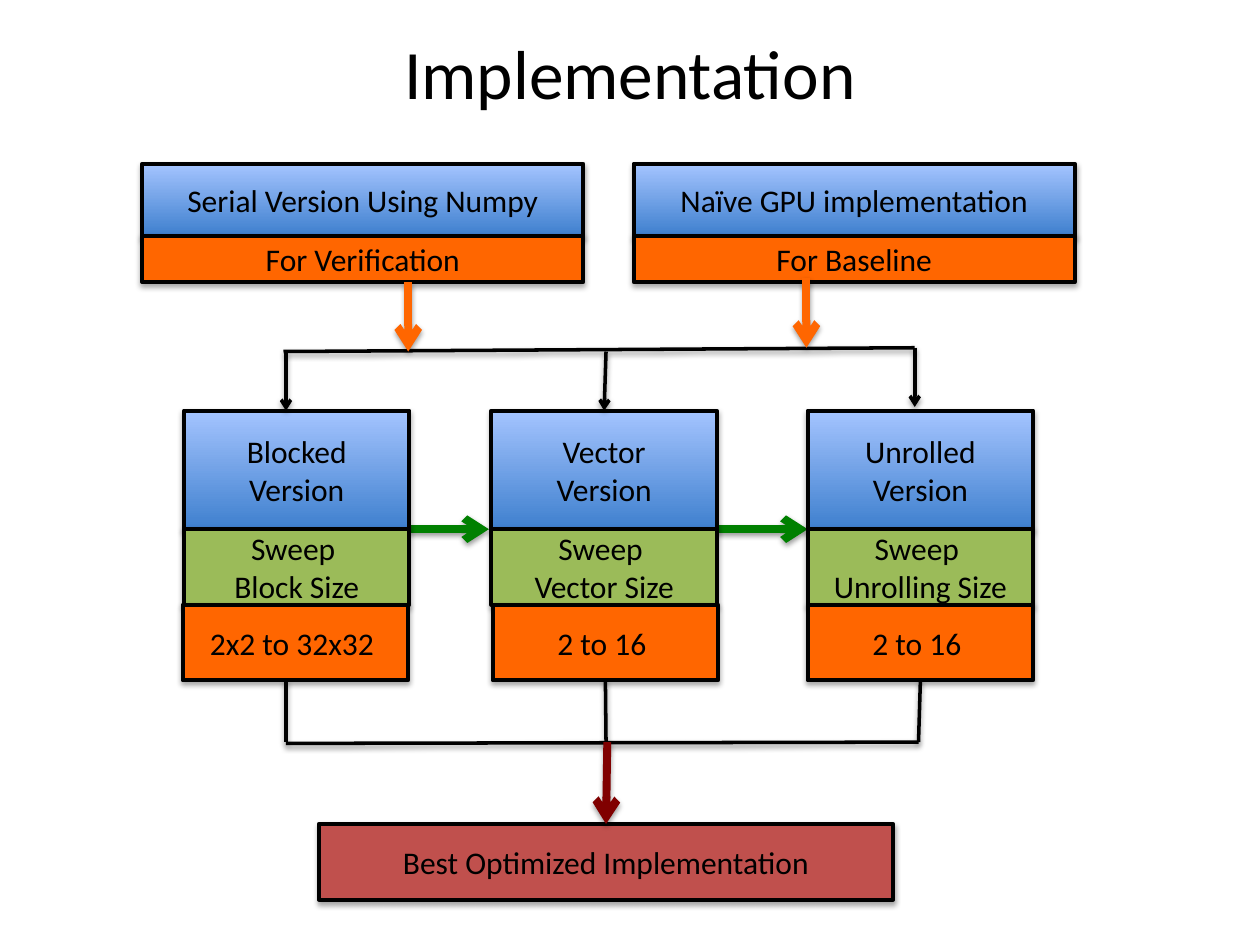
import pptx
import pptx.util
import pptx.dml.color
import pptx.enum.shapes
import pptx.enum.text
import pptx.oxml
import pptx.oxml.ns
from dataclasses import dataclass

Inches, Pt = pptx.util.Inches, pptx.util.Pt
TOP, BOTTOM = 0, 2


@dataclass(frozen=True)
class Theme:
    font: str = "Calibri"
    title_size: float = 39.6
    body_size: float = 18
    ink: str = "000000"
    blue: tuple = ("3F80CE", "A4C4FF")  # bottom, top
    orange: str = "FF6600"
    green: str = "9BBB59"
    red: str = "C0504D"
    dark_green: str = "008000"
    dark_red: str = "800000"
    border: float = 2.25
    thin: float = 2
    thick: float = 4.5


def rgb(value):
    return pptx.dml.color.RGBColor.from_string(value)


class Deck:
    def __init__(self, theme):
        self.theme = theme
        self.prs = pptx.Presentation()
        self.prs.slide_width, self.prs.slide_height = Inches(10), Inches(7.5)
        self.s = self.prs.slides.add_slide(self.prs.slide_layouts[6])

    def add_text(self, sp, lines, size):
        tf = sp.text_frame
        tf.word_wrap = True
        tf.vertical_anchor = pptx.enum.text.MSO_ANCHOR.MIDDLE
        for i, line in enumerate(lines):
            p = tf.paragraphs[0] if i == 0 else tf.add_paragraph()
            p.alignment = pptx.enum.text.PP_ALIGN.CENTER
            r = p.add_run()
            r.text = line
            r.font.name, r.font.size = self.theme.font, Pt(size)
            r.font.color.rgb = rgb(self.theme.ink)

    def shadow(self, sp, distance, opacity):
        sp._element.spPr.append(pptx.oxml.parse_xml(
            f'<a:effectLst {pptx.oxml.ns.nsdecls("a")}>'
            f'<a:outerShdw blurRad="{Pt(3.1)}" dist="{Pt(distance)}" dir="5400000" rotWithShape="0">'
            f'<a:srgbClr val="000000"><a:alpha val="{opacity * 1000}"/></a:srgbClr>'
            '</a:outerShdw></a:effectLst>'))

    def title(self, text, x, y, w, h):
        sp = self.s.shapes.add_textbox(Inches(x), Inches(y), Inches(w), Inches(h))
        self.add_text(sp, [text], self.theme.title_size)

    def group(self):
        return self.s.shapes.add_group_shape().shapes

    def box(self, lines, x, y, w, h, fill, parent=None):
        shapes = self.s.shapes if parent is None else parent
        sp = shapes.add_shape(pptx.enum.shapes.MSO_SHAPE.RECTANGLE,
                              Inches(x), Inches(y), Inches(w), Inches(h))
        if isinstance(fill, tuple):
            sp.fill.gradient()
            sp.fill.gradient_angle = 90
            for stop, color in zip(sp.fill.gradient_stops, fill):
                stop.color.rgb = rgb(color)
        else:
            sp.fill.solid()
            sp.fill.fore_color.rgb = rgb(fill)
        sp.line.color.rgb = rgb(self.theme.ink)
        sp.line.width = Pt(self.theme.border)
        self.shadow(sp, 1.8, 35)
        self.add_text(sp, lines, self.theme.body_size)
        return sp

    def line(self, x1, y1, x2, y2, color, width, arrow=False, begin=None, end=None):
        c = self.s.shapes.add_connector(pptx.enum.shapes.MSO_CONNECTOR.STRAIGHT,
                                        Inches(x1), Inches(y1), Inches(x2), Inches(y2))
        c.line.color.rgb = rgb(color)
        c.line.width = Pt(width)
        if arrow:
            c.line._get_or_add_ln().append(pptx.oxml.parse_xml(
                f'<a:tailEnd {pptx.oxml.ns.nsdecls("a")} type="arrow"/>'))
        self.shadow(c, 1.6, 38)
        if begin is not None:
            c.begin_connect(begin, BOTTOM)
        if end is not None:
            c.end_connect(end, TOP)


def main():
    t = Theme()
    d = Deck(t)
    d.title("Implementation", 0.5, 0.2, 9, 0.74)

    # Arrows between the three versions
    for x1, x2 in ((3.26, 3.88), (5.7, 6.41)):
        d.line(x1, 4.2, x2, 4.2, t.dark_green, t.thick, arrow=True)

    # Starting implementations
    for x, name, purpose in ((1.13, "Serial Version Using Numpy", "For Verification"),
                             (5.03, "Naïve GPU implementation", "For Baseline")):
        g = d.group()
        d.box([name], x, 1.3, 3.5, 0.57, t.blue, g)
        d.box([purpose], x, 1.87, 3.5, 0.37, t.orange, g)

    # Optimized versions, each with its sweep and range
    versions = (
        (1.46, 1.45, ["Blocked Version"], "Block Size", "2x2 to 32x32 "),
        (3.9, 3.91, ["Vector", "Version"], "Vector Size", "2 to 16 "),
        (6.41, 6.41, ["Unrolled", "Version"], "Unrolling Size", "2 to 16 "),
    )
    heads, ranges = [], []
    for x, range_x, name, sweep, values in versions:
        g = d.group()
        heads.append(d.box(name, x, 3.26, 1.79, 0.94, t.blue, g))
        d.box(["Sweep ", sweep], x, 4.2, 1.79, 0.6, t.green, g)
        ranges.append(d.box([values], range_x, 4.8, 1.79, 0.6, t.orange))

    # Result
    best = d.box(["Best Optimized Implementation"], 2.53, 6.54, 4.56, 0.6, t.red)

    # Upper bus with its branches
    d.line(2.25, 2.79, 7.26, 2.76, t.ink, t.thin)
    for x, y, head in ((2.27, 2.79, None), (4.81, 2.79, heads[1]), (7.26, 2.76, None)):
        d.line(x, y, x, y + 0.47, t.ink, t.thin, arrow=True, end=head)
    for x, y in ((3.24, 2.24), (6.4, 2.21)):
        d.line(x, y, x, y + 0.55, t.orange, t.thick, arrow=True)

    # Lower bus, gathering into the result
    d.line(2.27, 5.9, 7.29, 5.89, t.ink, t.thin)
    for x, source in ((2.27, None), (4.81, ranges[1]), (7.29, ranges[2])):
        d.line(x, 5.4, x, 5.89, t.ink, t.thin, begin=source)
    d.line(4.82, 5.89, 4.81, 6.51, t.dark_red, t.thick, arrow=True, end=best)

    d.prs.save("out.pptx")


if __name__ == "__main__":
    main()
